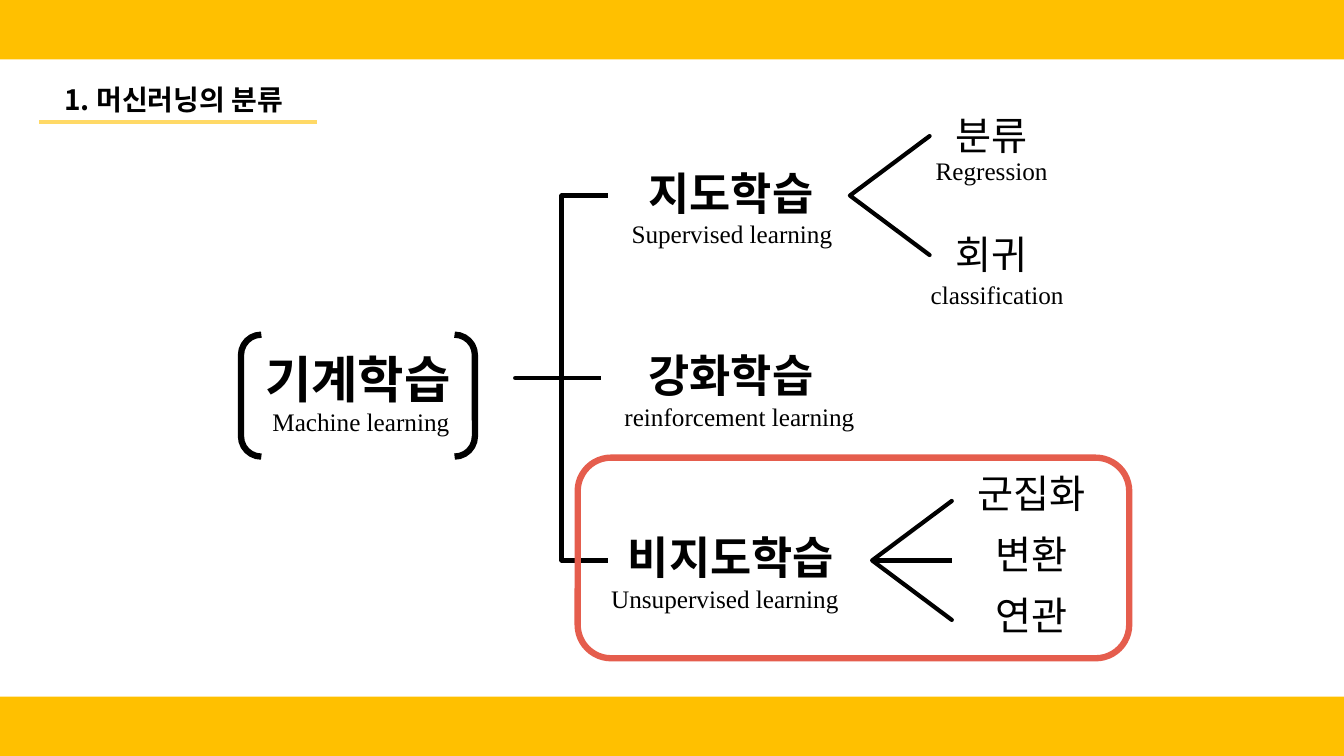
from pptx import Presentation
from pptx.dml.color import RGBColor
from pptx.enum.shapes import MSO_CONNECTOR, MSO_SHAPE
from pptx.enum.text import MSO_ANCHOR, MSO_AUTO_SIZE, PP_ALIGN
from pptx.oxml.ns import qn
from pptx.util import Pt
from lxml import etree

PX = 9144  # 100 px to the inch
COLORS = {"band": "FFC000", "underline": "FFD966", "ink": "000000", "focus": "E55D4D"}
KOREAN, LATIN = "Noto Sans CJK KR", "Times New Roman"
RECT, BRACKETS, BRACE = MSO_SHAPE.RECTANGLE, MSO_SHAPE.DOUBLE_BRACKET, MSO_SHAPE.LEFT_BRACE
CHEVRON, ROUNDED = MSO_SHAPE.CHEVRON, MSO_SHAPE.ROUNDED_RECTANGLE
STRAIGHT, TOP, CENTER = MSO_CONNECTOR.STRAIGHT, MSO_ANCHOR.TOP, PP_ALIGN.CENTER
GROW = MSO_AUTO_SIZE.SHAPE_TO_FIT_TEXT

prs = Presentation()
prs.slide_width, prs.slide_height = 1333 * PX, 750 * PX
slide = prs.slides.add_slide(prs.slide_layouts[5])
shapes = slide.shapes


def write(text, left, top, width, height, size=18, font=LATIN, bold=False, holder=None):
    box = holder or shapes.add_textbox(0, 0, 0, 0)
    box.left, box.top, box.width, box.height = (v * PX for v in (left, top, width, height))
    frame = box.text_frame
    frame.word_wrap, frame.auto_size, frame.vertical_anchor = True, GROW, TOP
    paragraph = frame.paragraphs[0]
    paragraph.alignment = CENTER
    run = paragraph.add_run()
    run.text = text
    run.font.size, run.font.name, run.font.bold = Pt(size), font, bold
    run.font.color.rgb = RGBColor.from_string(COLORS["ink"])
    # Hangul takes its font from the East Asian slot
    etree.SubElement(run.font._element, qn("a:ea"), typeface=font)


def draw(kind, left, top, width, height, fill=None, line=None, weight=3):
    shape = shapes.add_shape(kind, *(v * PX for v in (left, top, width, height)))
    shape.shadow.inherit = False
    if fill:
        shape.fill.solid()
        shape.fill.fore_color.rgb = RGBColor.from_string(COLORS[fill])
    else:
        shape.fill.background()
    if line:
        shape.line.color.rgb = RGBColor.from_string(COLORS[line])
        shape.line.width = Pt(weight)
    else:
        shape.line.fill.background()
    return shape


# Bands along the top and bottom edges
for band_top in (0, 691):
    draw(RECT, 0, band_top, 1333, 59, fill="band")

# Title
write("1. 머신러닝의 분류", 5, 77, 335, 44, size=20, font=KOREAN, bold=True, holder=shapes.title)

# Brackets of the root and brace to the three branches
draw(BRACKETS, 239, 332, 232, 121, line="ink", weight=4.5)
branch_brace = draw(BRACE, 511, 194, 92, 362, line="ink")
branch_brace.adjustments[0] = 0
branch_brace.adjustments[1] = 0.5

# Forks to the kinds of task
for fork_left, fork_top in ((843, 135), (865, 497)):
    fork = draw(CHEVRON, fork_left, fork_top, 79, 118, line="ink")
    fork.adjustments[0] = 1
    fork.element.spPr.find(qn("a:xfrm")).set("flipH", "1")

# Title underline, middle branch, middle tine of the lower fork
for start, end, y, color in ((39, 314, 121, "underline"), (557, 596, 375, "ink"),
                             (867, 944, 556, "ink")):
    rule = shapes.add_connector(STRAIGHT, start * PX, y * PX, end * PX, y * PX)
    rule.line.color.rgb = RGBColor.from_string(COLORS[color])
    rule.line.width = Pt(3)
    etree.SubElement(rule.element.spPr, qn("a:effectLst"))

# Root and branch names
write("기계학습", 232, 340, 246, 71, size=36, font=KOREAN, bold=True)
for row, branch in enumerate(("지도학습", "강화학습", "비지도학습")):
    write(branch, 602, 159 + 181 * row, 246, 64, size=32, font=KOREAN, bold=True)

# Task names
for row, task in enumerate(("분류", "회귀")):
    write(task, 921, 106 + 118 * row, 125, 57, size=28, font=KOREAN)
for row, task in enumerate(("군집화", "변환", "연관")):
    write(task, 944, 461 + 121 * row // 2, 158, 57, size=28, font=KOREAN)

# English names
for english, left, top, width in (
    ("Machine learning", 245, 398, 226),
    ("Supervised learning", 613, 212, 226),
    ("reinforcement learning", 606, 393, 255),
    ("Unsupervised learning", 596, 574, 246),
    ("Regression", 914, 149, 139),
    ("classification", 910, 272, 158),
):
    write(english, left, top, width, 40)

# Frame around unsupervised learning
draw(ROUNDED, 573, 454, 547, 199, line="focus", weight=4.5)

prs.save("out.pptx")
